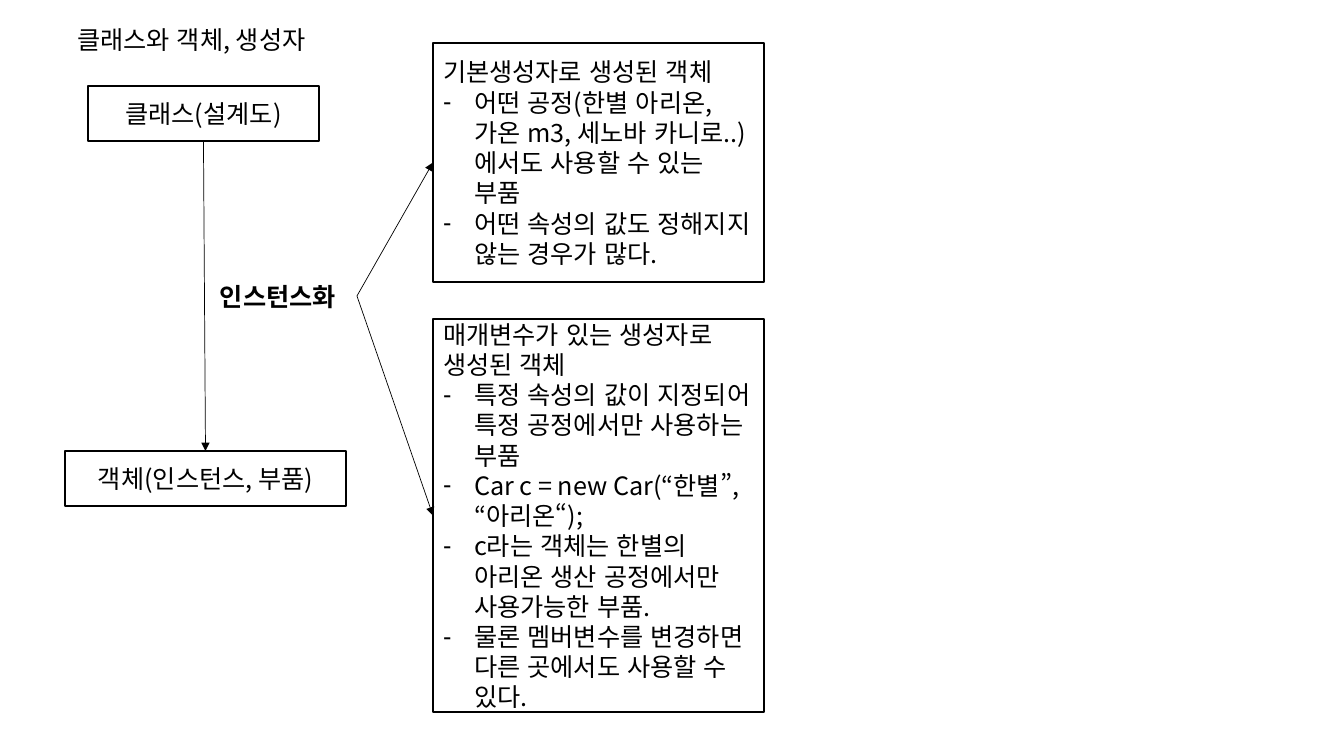
from lxml import etree
from pptx import Presentation
from pptx.dml.color import RGBColor
from pptx.enum.lang import MSO_LANGUAGE_ID
from pptx.enum.shapes import MSO_CONNECTOR, MSO_SHAPE
from pptx.enum.text import MSO_ANCHOR, MSO_AUTO_SIZE, PP_ALIGN
from pptx.oxml.ns import qn
from pptx.util import Pt

LEFT, CENTER = PP_ALIGN.LEFT, PP_ALIGN.CENTER
MIDDLE, TOP = MSO_ANCHOR.MIDDLE, MSO_ANCHOR.TOP
NO_FIT = MSO_AUTO_SIZE.NONE
KOREAN = MSO_LANGUAGE_ID.KOREAN
STRAIGHT, RECT = MSO_CONNECTOR.STRAIGHT, MSO_SHAPE.RECTANGLE
TWO_CONTENT = 3
SIDE_TOP, SIDE_LEFT, SIDE_BOTTOM, SIDE_RIGHT = range(4)

FONT, BLACK = "Noto Sans CJK KR", "000000"
EMU_PER_PX = 914400 / 100.8
INDENT = 31


def px(n):
    return round(n * EMU_PER_PX)


def color(hex_text):
    return RGBColor.from_string(hex_text)


def place(sp, box):
    sp.left, sp.top, sp.width, sp.height = map(px, box)


def outline(sp):
    sp.fill.background()
    sp.line.color.rgb = color(BLACK)
    sp.line.width = Pt(1)


def write(p, text, bold=False, align=LEFT, bullet=None):
    p.alignment = align
    p.line_spacing = 1.0
    p.space_before = p.space_after = Pt(0)
    r = p.add_run()
    r.text = text
    r.font.name, r.font.size, r.font.bold = FONT, Pt(18), bold
    r.font.color.rgb = color(BLACK)
    # Korean text uses narrow quotation marks
    r.font.language_id = KOREAN
    etree.SubElement(r.font._element, qn("a:ea"), typeface=FONT)
    # Bullet and hanging indent, punctuation kept inside the margin
    pPr = p._p.get_or_add_pPr()
    indent = px(INDENT) if bullet else 0
    pPr.set("marL", str(indent))
    pPr.set("indent", str(-indent))
    pPr.set("hangingPunct", "0")
    if bullet:
        etree.SubElement(pPr, qn("a:buChar"), char=bullet)
    else:
        etree.SubElement(pPr, qn("a:buNone"))


def prepare(sp, anchor):
    tf = sp.text_frame
    tf.word_wrap, tf.auto_size, tf.vertical_anchor = True, NO_FIT, anchor
    return tf


def add_heading(slide, box, text):
    sp = slide.shapes.title
    place(sp, box)
    write(prepare(sp, TOP).paragraphs[0], text)


def add_node(slide, box, text):
    sp = slide.shapes.add_shape(RECT, *map(px, box))
    sp.shadow.inherit = False
    outline(sp)
    write(prepare(sp, MIDDLE).paragraphs[0], text, align=CENTER)
    return sp


def add_label(slide, box, text):
    sp = slide.shapes.add_textbox(*map(px, box))
    write(prepare(sp, TOP).paragraphs[0], text, bold=True)
    return sp


def fill_list(sp, box, heading, items):
    place(sp, box)
    outline(sp)
    tf = prepare(sp, MIDDLE)
    write(tf.paragraphs[0], heading)
    for item in items:
        write(tf.add_paragraph(), item, bullet="-")


def add_arrow(slide, start, start_side, end, end_side):
    line = slide.shapes.add_connector(STRAIGHT, 0, 0, 0, 0)
    line.begin_connect(start, start_side)
    line.end_connect(end, end_side)
    line.line.color.rgb = color(BLACK)
    line.line.width = Pt(0.5)
    etree.SubElement(line.line._get_or_add_ln(), qn("a:tailEnd"), type="triangle")
    etree.SubElement(line._element.spPr, qn("a:effectLst"))


def build_constructor_slide(prs):
    slide = prs.slides.add_slide(prs.slide_layouts[TWO_CONTENT])
    default_box, param_box = list(slide.placeholders)[1:]

    # Class to object
    add_heading(slide, (67, 19, 273, 40), "클래스와 객체, 생성자")
    class_node = add_node(slide, (88, 86, 231, 55), "클래스(설계도)")
    object_node = add_node(slide, (65, 451, 281, 55), "객체(인스턴스, 부품)")
    label = add_label(slide, (210, 276, 147, 40), "인스턴스화")

    # Two kinds of constructor
    fill_list(default_box, (433, 43, 331, 239), "기본생성자로 생성된 객체", [
        "어떤 공정(한별 아리온, 가온 m3, 세노바 카니로..)에서도 사용할 수 있는 부품",
        "어떤 속성의 값도 정해지지 않는 경우가 많다.",
    ])
    fill_list(param_box, (433, 319, 331, 393), "매개변수가 있는 생성자로 생성된 객체", [
        "특정 속성의 값이 지정되어 특정 공정에서만 사용하는 부품",
        "Car c = new Car(“한별”, “아리온“);",
        "c라는 객체는 한별의 아리온 생산 공정에서만 사용가능한 부품.",
        "물론 멤버변수를 변경하면 다른 곳에서도 사용할 수 있다.",
    ])

    # Arrows
    add_arrow(slide, class_node, SIDE_BOTTOM, object_node, SIDE_TOP)
    for target in (default_box, param_box):
        add_arrow(slide, label, SIDE_RIGHT, target, SIDE_LEFT)


def main():
    prs = Presentation()
    prs.slide_width, prs.slide_height = px(1344), px(756)
    build_constructor_slide(prs)
    prs.save("out.pptx")


if __name__ == "__main__":
    main()
